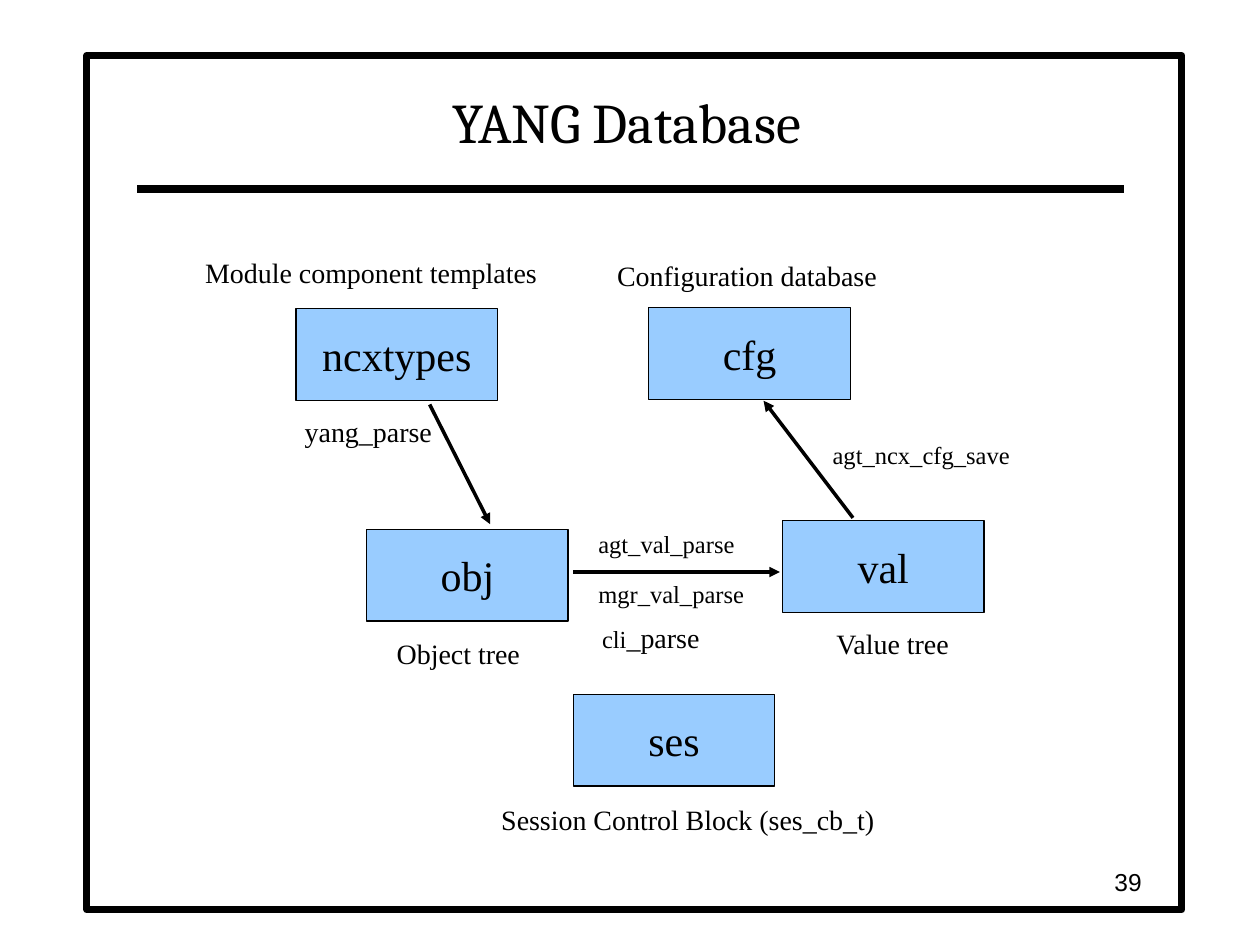
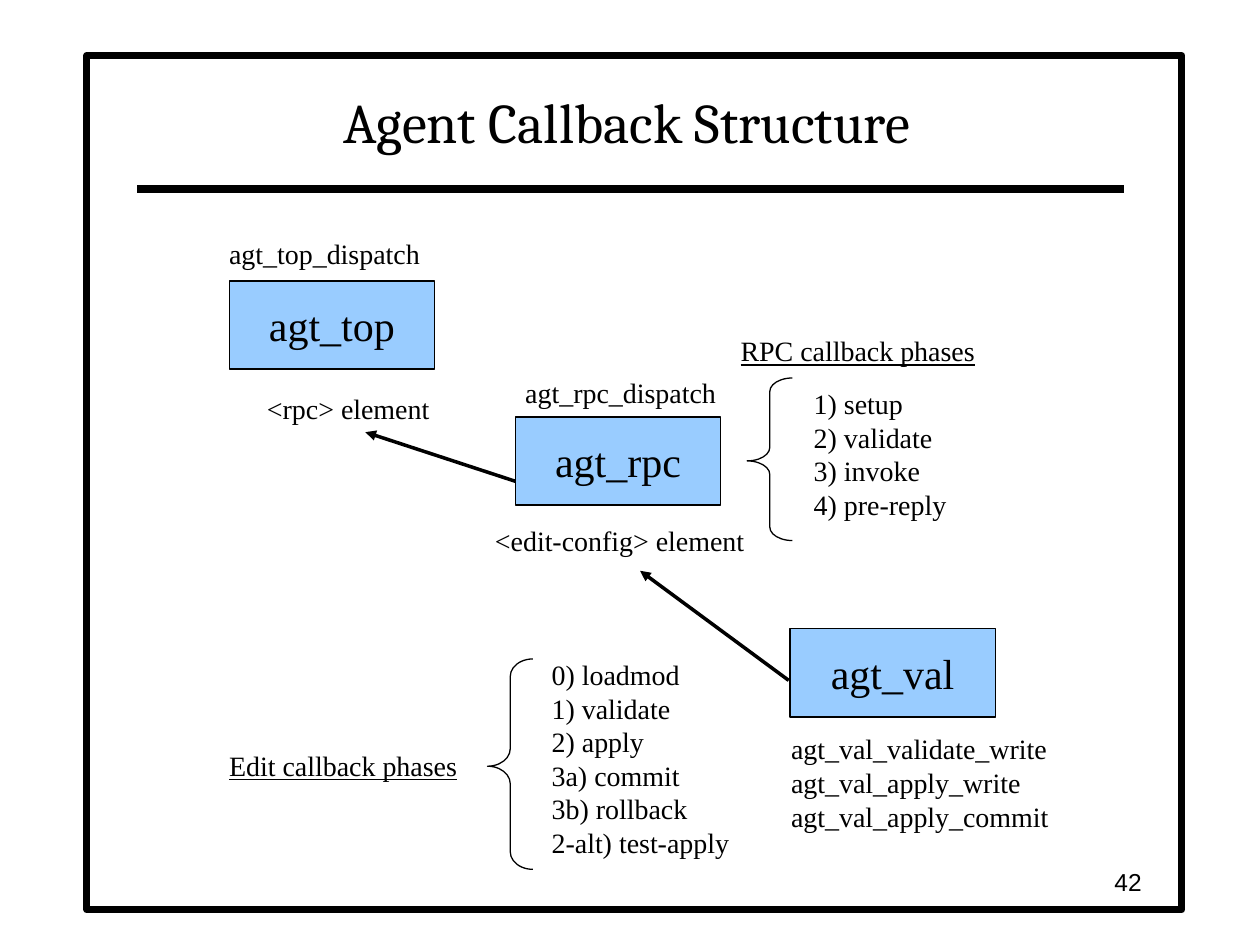
from lxml import etree
from pptx import Presentation
from pptx.dml.color import RGBColor
from pptx.enum import shapes, text
from pptx.oxml.ns import qn
from pptx.util import Pt

PX = 9144
INK = {"black": "000000", "white": "FFFFFF", "sky": "99CCFF"}
SERIF = "Times New Roman"
LEFT, MID, RIGHT = text.PP_ALIGN.LEFT, text.PP_ALIGN.CENTER, text.PP_ALIGN.RIGHT
TOP, CORE = text.MSO_ANCHOR.TOP, text.MSO_ANCHOR.MIDDLE
GROW, FIXED = text.MSO_AUTO_SIZE.SHAPE_TO_FIT_TEXT, text.MSO_AUTO_SIZE.NONE


def color(name):
    return RGBColor.from_string(INK[name])


def scale(*values):
    return [value * PX for value in values]


def style(target, values):
    for name, value in values.items():
        setattr(target, name, value)


class Deck:
    def __init__(self):
        self.prs = Presentation()
        style(self.prs, {"slide_width": 1000 * PX, "slide_height": 750 * PX})
        self.slide = None

    def page(self, title, number):
        self.slide = self.prs.slides.add_slide(self.prs.slide_layouts[6])
        self.shape("RECTANGLE", 69, 44, 869, 678, "white", 4)
        self.line(109, 150, 892, 150, 4.5)
        self.label(title, 108, 50, 779, 92, size=32, font="Cambria",
                   align=MID, anchor=CORE, wrap=True, pad=(0, 0))
        self.label(number, 708, 683, 208, 33, size=14, font="Arial",
                   align=RIGHT, anchor=CORE, wrap=True, fit=FIXED)

    def stroke(self, item, width):
        item.line.color.rgb = color("black")
        item.line.width = Pt(width)

    def shape(self, kind, x, y, w, h, fill=None, width=0):
        item = self.slide.shapes.add_shape(
            getattr(shapes.MSO_SHAPE, kind), *scale(x, y, w, h))
        item.shadow.inherit = False
        if fill:
            item.fill.solid()
            item.fill.fore_color.rgb = color(fill)
        else:
            item.fill.background()
        self.stroke(item, width)
        return item

    def words(self, frame, runs, size, font=SERIF, align=LEFT, anchor=TOP,
              wrap=False, pad=(10, 5), fit=GROW, under=False):
        side, edge = scale(*pad)
        style(frame, {"word_wrap": wrap, "auto_size": fit,
                      "vertical_anchor": anchor, "margin_left": side,
                      "margin_right": side, "margin_top": edge,
                      "margin_bottom": edge})
        para = frame.paragraphs[0]
        para.alignment = align
        for span, points in [(runs, size)] if isinstance(runs, str) else runs:
            for i, part in enumerate(span.split("\n")):
                if i:
                    para.add_line_break()
                run = para.add_run()
                run.text = part
                style(run.font, {"name": font, "size": Pt(points)})
                if under:
                    run.font.underline = True
                run.font.color.rgb = color("black")

    def label(self, runs, x, y, w, h=37, size=16, **form):
        item = self.slide.shapes.add_textbox(*scale(x, y, w, h))
        self.words(item.text_frame, runs, size, **form)

    def box(self, name, x, y, w, h):
        item = self.shape("RECTANGLE", x, y, w, h, "sky")
        self.words(item.text_frame, name, 24, align=MID, anchor=CORE,
                   wrap=True, fit=FIXED)

    def brace(self, x, y, w, h):
        item = self.shape("LEFT_BRACE", x, y, w, h)
        item.adjustments[0] = h / 12 / w
        item.adjustments[1] = 0.51

    def line(self, x1, y1, x2, y2, width=0):
        item = self.slide.shapes.add_connector(
            shapes.MSO_CONNECTOR.STRAIGHT, *scale(x1, y1, x2, y2))
        self.stroke(item, width)
        etree.SubElement(item._element.spPr, qn("a:effectLst"))
        return item

    def arrow(self, *ends):
        line = self.line(*ends).line._get_or_add_ln()
        etree.SubElement(line, qn("a:tailEnd"), type="triangle")


def data(deck):
    deck.page("YANG Database", "39")
    for name, x, y in [("cfg", 515, 244), ("obj", 291, 420),
                       ("val", 621, 413), ("ncxtypes", 235, 245),
                       ("ses", 455, 551)]:
        deck.box(name, x, y, 160, 73)
    for ends in [(341, 321, 389, 416), (455, 454, 619, 454),
                 (677, 411, 606, 318)]:
        deck.arrow(*ends)
    for name, x, y, w in [("Configuration database", 480, 200, 227),
                          ("Object tree", 305, 500, 118),
                          ("Value tree", 654, 492, 112),
                          ("Module component templates", 153, 198, 284),
                          ("yang_parse", 232, 324, 121),
                          ([("cli", 14), ("_parse", 16)], 468, 488, 97),
                          ("Session Control Block (ses_cb_t)", 388, 632, 317)]:
        deck.label(name, x, y, w)
    for name, x, y, w in [("agt_val_parse", 465, 415, 128),
                          ("mgr_val_parse", 465, 455, 136),
                          ("agt_ncx_cfg_save", 651, 344, 161)]:
        deck.label(name, x, y, w, 33, 14)


def calls(deck):
    deck.page("Agent Callback Structure", "42")
    for name, x, y in [("agt_top", 182, 223), ("agt_rpc", 409, 331),
                       ("agt_val", 627, 499)]:
        deck.box(name, x, y, 163, 70)
    for ends in [(409, 382, 290, 343), (626, 540, 508, 453)]:
        deck.arrow(*ends)
    for name, x, y, w in [("agt_top_dispatch", 172, 183, 172),
                          ("agt_rpc_dispatch", 407, 293, 172),
                          ("<rpc> element", 202, 306, 149),
                          ("<edit-config> element", 383, 411, 218)]:
        deck.label(name, x, y, w)
    deck.label("agt_val_validate_write\nagt_val_apply_write\n"
               "agt_val_apply_commit", 618, 576, 225, 90)
    deck.brace(593, 300, 36, 129)
    deck.label("1) setup\n2) validate\n3) invoke\n4) pre-reply",
               636, 302, 139, 143, wrap=True)
    deck.label("RPC callback phases", 578, 260, 206, under=True)
    deck.brace(387, 523, 36, 167)
    deck.label("0) loadmod\n1) validate\n2) apply\n3a) commit\n"
               "3b) rollback\n2-alt) test-apply", 428, 517, 175, 196, wrap=True)
    deck.label("Edit callback phases", 172, 589, 201, under=True)


def main():
    deck = Deck()
    data(deck)
    calls(deck)
    deck.prs.save("out.pptx")


if __name__ == "__main__":
    main()
